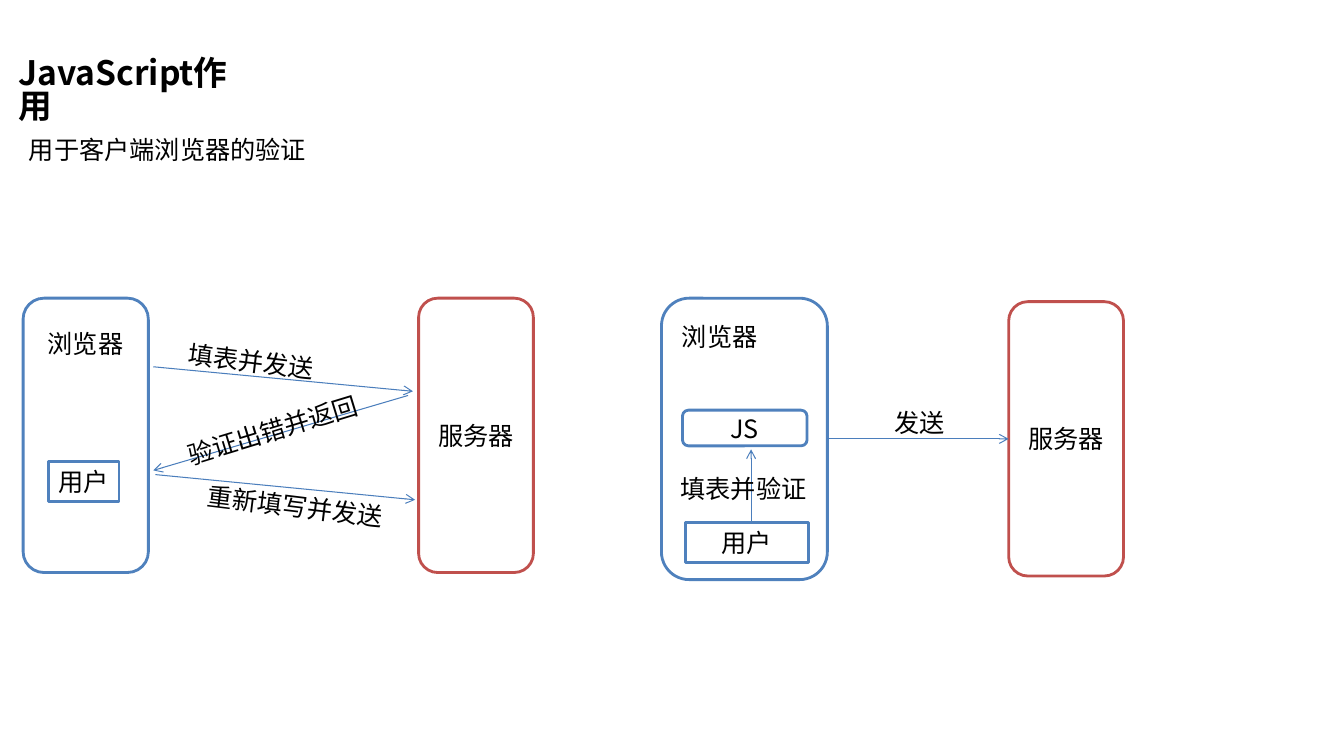
from lxml import etree
from pptx import Presentation
from pptx.dml.color import RGBColor
from pptx.enum.shapes import MSO_CONNECTOR, MSO_SHAPE
from pptx.enum.text import MSO_ANCHOR, PP_ALIGN
from pptx.oxml.ns import qn
from pptx.util import Pt

BLACK = RGBColor(0x00, 0x00, 0x00)
WHITE = RGBColor(0xFF, 0xFF, 0xFF)
BLUE = RGBColor(0x4F, 0x81, 0xBD)
RED = RGBColor(0xC0, 0x50, 0x4D)
ARROW_BLUE = RGBColor(0x4B, 0x7E, 0xBC)

RECT, ROUNDED = MSO_SHAPE.RECTANGLE, MSO_SHAPE.ROUNDED_RECTANGLE
STRAIGHT = MSO_CONNECTOR.STRAIGHT
TOP, MIDDLE = MSO_ANCHOR.TOP, MSO_ANCHOR.MIDDLE
LEFT, CENTER = PP_ALIGN.LEFT, PP_ALIGN.CENTER
LEFT_SIDE, RIGHT_SIDE = 1, 3


class Diagram:
    """Draws elements on one slide; all lengths are in points."""

    font = "Noto Sans CJK SC"
    size = 18
    label_height = 29

    def __init__(self, slide):
        self.s = slide

    def set_text(self, sp, text, align=LEFT, anchor=MIDDLE, size=size,
                 bold=False, wrap=False):
        tf = sp.text_frame
        tf.word_wrap = wrap
        tf.vertical_anchor = anchor
        p = tf.paragraphs[0]
        p.alignment = align
        p.space_before = Pt(0)
        r = p.add_run()
        r.text = text
        r.font.name = self.font
        r.font.size = Pt(size)
        r.font.bold = bold
        r.font.color.rgb = BLACK
        ea = etree.SubElement(r._r.get_or_add_rPr(), qn("a:ea"))
        ea.set("typeface", self.font)
        return p

    def placeholder(self, sp, text, x, y, w, h, **style):
        sp.left, sp.top, sp.width, sp.height = Pt(x), Pt(y), Pt(w), Pt(h)
        return self.set_text(sp, text, **style)

    def label(self, text, x, y, w, angle=0):
        sp = self.s.shapes.add_textbox(Pt(x), Pt(y), Pt(w), Pt(self.label_height))
        sp.rotation = angle
        self.set_text(sp, text)

    def box(self, kind, x, y, w, h, color, text=None):
        sp = self.s.shapes.add_shape(kind, Pt(x), Pt(y), Pt(w), Pt(h))
        sp.shadow.inherit = False
        sp.fill.solid()
        sp.fill.fore_color.rgb = WHITE
        sp.line.color.rgb = color
        sp.line.width = Pt(2)
        if text:
            self.set_text(sp, text, align=CENTER)
        return sp

    def arrow(self, x1, y1, x2, y2):
        cx = self.s.shapes.add_connector(STRAIGHT, Pt(x1), Pt(y1), Pt(x2), Pt(y2))
        cx.line.color.rgb = ARROW_BLUE
        cx.line.width = Pt(0.75)
        spPr = cx._element.spPr
        etree.SubElement(spPr.find(qn("a:ln")), qn("a:tailEnd")).set("type", "arrow")
        etree.SubElement(spPr, qn("a:effectLst"))
        return cx


def main():
    prs = Presentation()
    prs.slide_width, prs.slide_height = Pt(960), Pt(540)
    s = prs.slides.add_slide(prs.slide_layouts[1])
    d = Diagram(s)

    # Title and subtitle
    p = d.placeholder(s.shapes.title, "JavaScript作用", 5.8, 38, 182, 36,
                      anchor=TOP, size=24, bold=True, wrap=True)
    p.line_spacing = 0.83
    p = d.placeholder(s.placeholders[1], "用于客户端浏览器的验证", 13.5, 92, 212.5, 29)
    pPr = p._p.get_or_add_pPr()
    pPr.set("marL", "0")
    pPr.set("indent", "0")
    etree.SubElement(pPr, qn("a:buNone"))

    # Left: the server validates the form
    d.box(ROUNDED, 16.5, 213, 89.5, 196, BLUE)
    d.label("浏览器", 27, 231, 68.5)
    d.box(RECT, 34.5, 329.5, 50.5, 29, BLUE, "用户")
    d.box(ROUNDED, 299, 213, 82, 196, RED, "服务器")

    exchanges = [
        ((109.5, 262, 295, 279.5), "填表并发送", 127.5, 243.5, 104.5, 7),
        ((291.5, 282.5, 109.5, 336), "验证出错并返回", 124.5, 292.5, 140.5, 343),
        ((111, 339, 296.5, 357), "重新填写并发送", 141, 347, 140.5, 7),
    ]
    for ends, text, x, y, w, angle in exchanges:
        d.arrow(*ends)
        d.label(text, x, y, w, angle)

    # Right: the browser validates the form with JS
    browser = d.box(ROUNDED, 472.5, 213, 118.5, 201, BLUE)
    d.label("浏览器", 480, 225.5, 68.5)
    d.box(ROUNDED, 487.5, 293, 89, 25.5, BLUE, "JS")
    d.box(RECT, 489.5, 373, 88, 29, BLUE, "用户")
    d.arrow(536.5, 372.5, 536.5, 321)
    d.label("填表并验证", 479, 334, 104.5)
    server = d.box(ROUNDED, 720.5, 215.5, 82, 196, RED, "服务器")

    send = d.arrow(591, 313.5, 720.5, 313.5)
    send.begin_connect(browser, RIGHT_SIDE)
    send.end_connect(server, LEFT_SIDE)
    d.label("发送", 632, 287.5, 50.5)

    prs.save("out.pptx")


if __name__ == "__main__":
    main()
